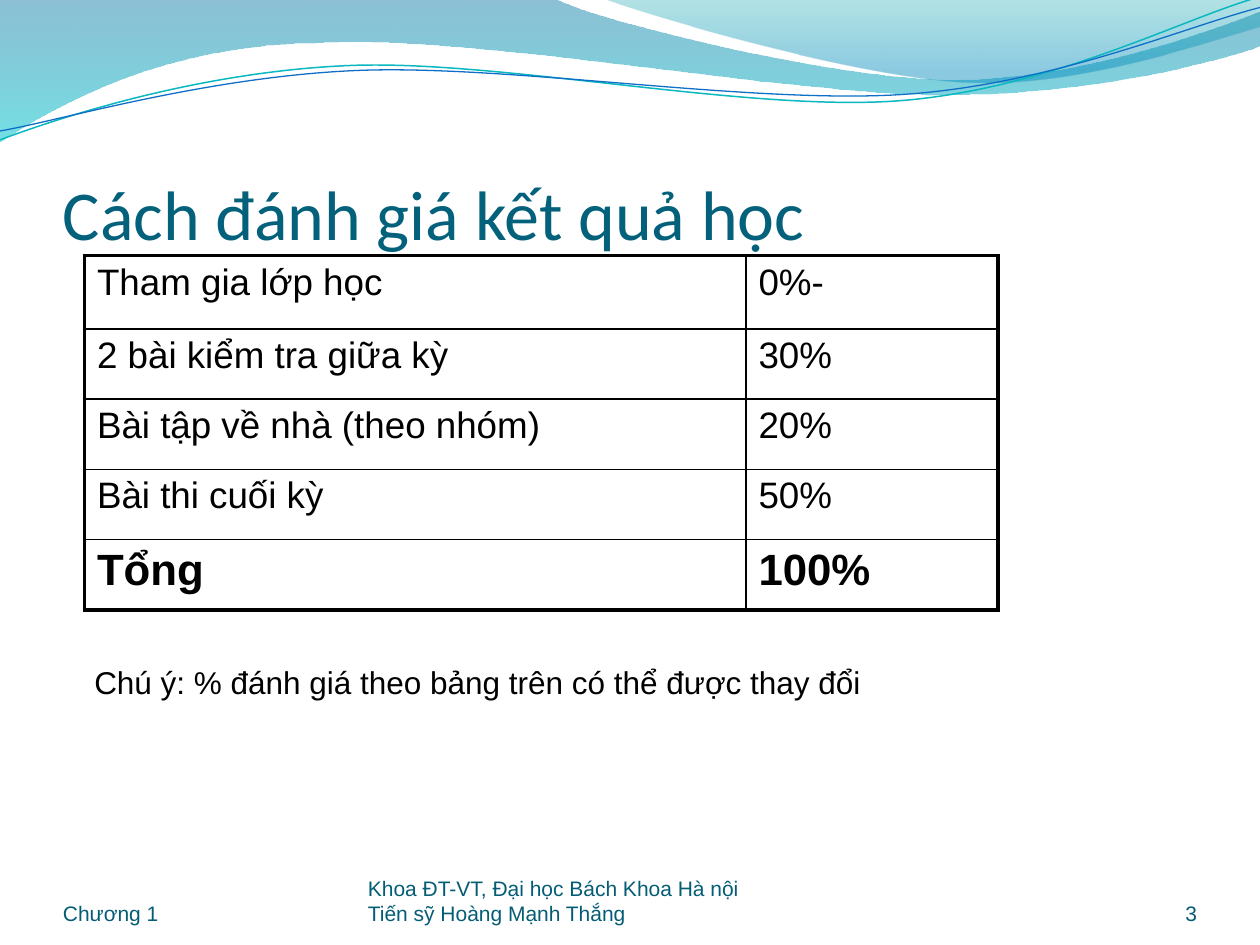
from dataclasses import dataclass
from math import cos, radians, sin

from lxml import etree
from pptx import Presentation
from pptx.dml.color import RGBColor
from pptx.enum.text import MSO_ANCHOR as Anchor, MSO_AUTO_SIZE as AutoSize, PP_ALIGN as Align
from pptx.oxml import parse_xml
from pptx.oxml.ns import nsdecls, qn
from pptx.util import Inches, Pt


@dataclass(frozen=True)
class Theme:
    title: str = "04617B"
    footer: str = "045D75"
    number: str = "045C75"
    ink: str = "000000"
    heading_font: str = "Calibri"
    body_font: str = "Arial"
    title_size: int = 40
    total_size: int = 25
    cell_size: int = 21
    note_size: int = 18
    footer_size: int = 12
    outer_line: float = 2.25
    inner_line: float = 1


@dataclass(frozen=True)
class Stop:
    position: float
    color: str
    alpha: int


@dataclass(frozen=True)
class Wave:
    """Path steps hold one point for a line and three for a Bezier curve."""
    start: tuple
    steps: tuple
    stops: tuple = ()
    line: str = ""
    width: float = 0
    tilt: float = 0
    center: tuple = (0, 0)


@dataclass(frozen=True)
class Grade:
    label: str
    share: str
    total: bool = False


THEME = Theme()

WAVES = (
    Wave((0, -0.01), (
        (4.4, -0.01),
        (4.76, 0.17, 6.64, 0.63, 7.58, 0.63),
        (8.53, 0.63, 9.58, 0.26, 10, 0.09),
        (10.01, 0.36),
        (9.83, 0.44, 8.7, 0.76, 7.46, 0.75),
        (6.22, 0.75, 3.82, 0.28, 2.57, 0.34),
        (1.29, 0.35, 0.46, 0.83, -0.01, 1.13),
        (0, -0.01),
    ), stops=(Stop(0, "0074A1", 45), Stop(1, "00C6CF", 55))),
    Wave((4.79, -0.01), (
        (5.09, 0.11, 6.82, 0.62, 7.69, 0.65),
        (8.56, 0.69, 9.61, 0.32, 10, 0.21),
        (10, 0),
        (4.79, -0.01),
    ), stops=(Stop(0, "00A1A9", 30), Stop(0.8, "008BBF", 45))),
    Wave((0, 1.11), (
        (0.48, 0.93, 1.58, 0.57, 2.77, 0.52),
        (3.95, 0.47, 5.93, 0.89, 7.13, 0.8),
        (8.33, 0.71, 9.38, 0.15, 9.98, -0.02),
    ), line="0AB8BF", width=0.85, tilt=-2.7, center=(4.99, 0.58)),
    Wave((0, 1.04), (
        (0.47, 0.96, 1.64, 0.61, 2.83, 0.56),
        (4.03, 0.51, 5.97, 0.83, 7.17, 0.75),
        (8.36, 0.67, 9.41, 0.21, 10, 0.06),
    ), line="0F6FC6", width=0.75, tilt=-2.7, center=(5, 0.59)),
)

GRADES = (
    Grade("Tham gia lớp học", "0%-"),
    Grade("2 bài kiểm tra giữa kỳ", "30%"),
    Grade("Bài tập về nhà (theo nhóm)", "20%"),
    Grade("Bài thi cuối kỳ", "50%"),
    Grade("Tổng", "100%", total=True),
)


def level(wave: Wave, x: float, y: float) -> tuple:
    """Undo the wave's tilt, which the shape's own rotation puts back."""
    angle, (cx, cy) = radians(-wave.tilt), wave.center
    dx, dy = x - cx, y - cy
    return (Inches(cx + dx * cos(angle) - dy * sin(angle)),
            Inches(cy + dx * sin(angle) + dy * cos(angle)))


def bend(sp, steps: tuple) -> None:
    """Join each run of three line segments that stands for a curve."""
    segments = iter(list(sp.element.iter(qn("a:lnTo"))))
    for step in steps:
        group = [next(segments) for _ in range(len(step) // 2)]
        if len(group) == 3:
            curve = etree.Element(qn("a:cubicBezTo"))
            group[0].addprevious(curve)
            for segment in group:
                curve.append(segment[0])
                segment.getparent().remove(segment)


def add_wave(s, wave: Wave) -> None:
    points = [level(wave, *xy) for step in wave.steps
              for xy in zip(step[::2], step[1::2])]
    builder = s.shapes.build_freeform(*level(wave, *wave.start))
    builder.add_line_segments(points, close=bool(wave.stops))
    sp = builder.convert_to_shape()
    bend(sp, wave.steps)
    sp.rotation = wave.tilt
    sp.shadow.inherit = False
    if not wave.stops:
        sp.fill.background()
        sp.line.color.rgb = RGBColor.from_string(wave.line)
        sp.line.width = Pt(wave.width)
        return
    sp.line.fill.background()
    sp.fill.gradient()
    sp.fill.gradient_angle = 270
    for target, stop in zip(sp.fill.gradient_stops, wave.stops):
        target.position = stop.position
        target.color.rgb = RGBColor.from_string(stop.color)
    for clr, stop in zip(sp.element.spPr.iter(qn("a:srgbClr")), wave.stops):
        etree.SubElement(clr, qn("a:alpha"), val=str(stop.alpha * 1000))


def write(tf, text: str, *, size: float, color: str = THEME.ink,
          font: str = THEME.body_font, bold: bool = False, align=Align.LEFT) -> None:
    p = tf.paragraphs[0]
    p.text = text
    p.alignment = align
    for r in p.runs:
        r.font.name = font
        r.font.size = Pt(size)
        r.font.bold = bold
        r.font.color.rgb = RGBColor.from_string(color)


def add_text(s, box: tuple, text: str, *, insets: tuple = (0, 0, 0, 0),
             anchor=Anchor.BOTTOM, wrap: bool = True, **style) -> None:
    tf = s.shapes.add_textbox(*map(Inches, box)).text_frame
    tf.word_wrap = wrap
    tf.auto_size = AutoSize.NONE if wrap else AutoSize.SHAPE_TO_FIT_TEXT
    tf.vertical_anchor = anchor
    tf.margin_left, tf.margin_top, tf.margin_right, tf.margin_bottom = map(Inches, insets)
    write(tf, text, **style)


def set_borders(cell, outer: dict) -> None:
    """Draw the four sides, heavier where the side lies on the table's edge."""
    for side in "LRTB":
        width = Pt(THEME.outer_line if outer[side] else THEME.inner_line)
        cell._tc.get_or_add_tcPr().append(parse_xml(
            f'<a:ln{side} {nsdecls("a")} w="{int(width)}"><a:solidFill>'
            f'<a:srgbClr val="{THEME.ink}"/></a:solidFill></a:ln{side}>'))


def add_grades(s, grades: tuple) -> None:
    height, first, last = 2.81, 0.58, len(grades) - 1
    frame = s.shapes.add_table(len(grades), 2, Inches(0.67), Inches(2.03),
                               Inches(7.25), Inches(height))
    table = frame.table
    table.first_row = table.horz_banding = False
    for column, width in zip(table.columns, (5.25, 2)):
        column.width = Inches(width)
    for i, grade in enumerate(grades):
        table.rows[i].height = Inches((height - first) / last if i else first)
        for j, text in enumerate((grade.label, grade.share)):
            cell = table.cell(i, j)
            set_borders(cell, {"L": j == 0, "R": j == 1, "T": i == 0, "B": i == last})
            cell.fill.background()
            write(cell.text_frame, text, bold=grade.total,
                  size=THEME.total_size if grade.total else THEME.cell_size)


def main() -> None:
    prs = Presentation()
    prs.slide_width, prs.slide_height = Inches(10), Inches(7.5)
    s = prs.slides.add_slide(prs.slide_layouts[6])

    # Waves along the top
    for wave in WAVES:
        add_wave(s, wave)

    # Title, grading table and note
    add_text(s, (0.5, 0.77, 9, 1.25), "Cách đánh giá kết quả học", insets=(0, 0.05, 0, 0),
             size=THEME.title_size, color=THEME.title, font=THEME.heading_font)
    add_grades(s, GRADES)
    add_text(s, (0.65, 5.21, 6.34, 0.4), "Chú ý: % đánh giá theo bảng trên có thể được thay đổi",
             insets=(0.1, 0.05, 0.1, 0.05), anchor=Anchor.TOP, wrap=False, size=THEME.note_size)

    # Footer
    for left, width, text, color, align in (
        (8.67, 0.83, "3", THEME.number, Align.RIGHT),
        (2.92, 3.67, "Khoa ĐT-VT, Đại học Bách Khoa Hà nội\vTiến sỹ Hoàng Mạnh Thắng",
         THEME.footer, Align.LEFT),
        (0.5, 2.33, "Chương 1", THEME.footer, Align.LEFT),
    ):
        add_text(s, (left, 6.95, width, 0.4), text, size=THEME.footer_size,
                 color=color, align=align)

    prs.save("out.pptx")


if __name__ == "__main__":
    main()
